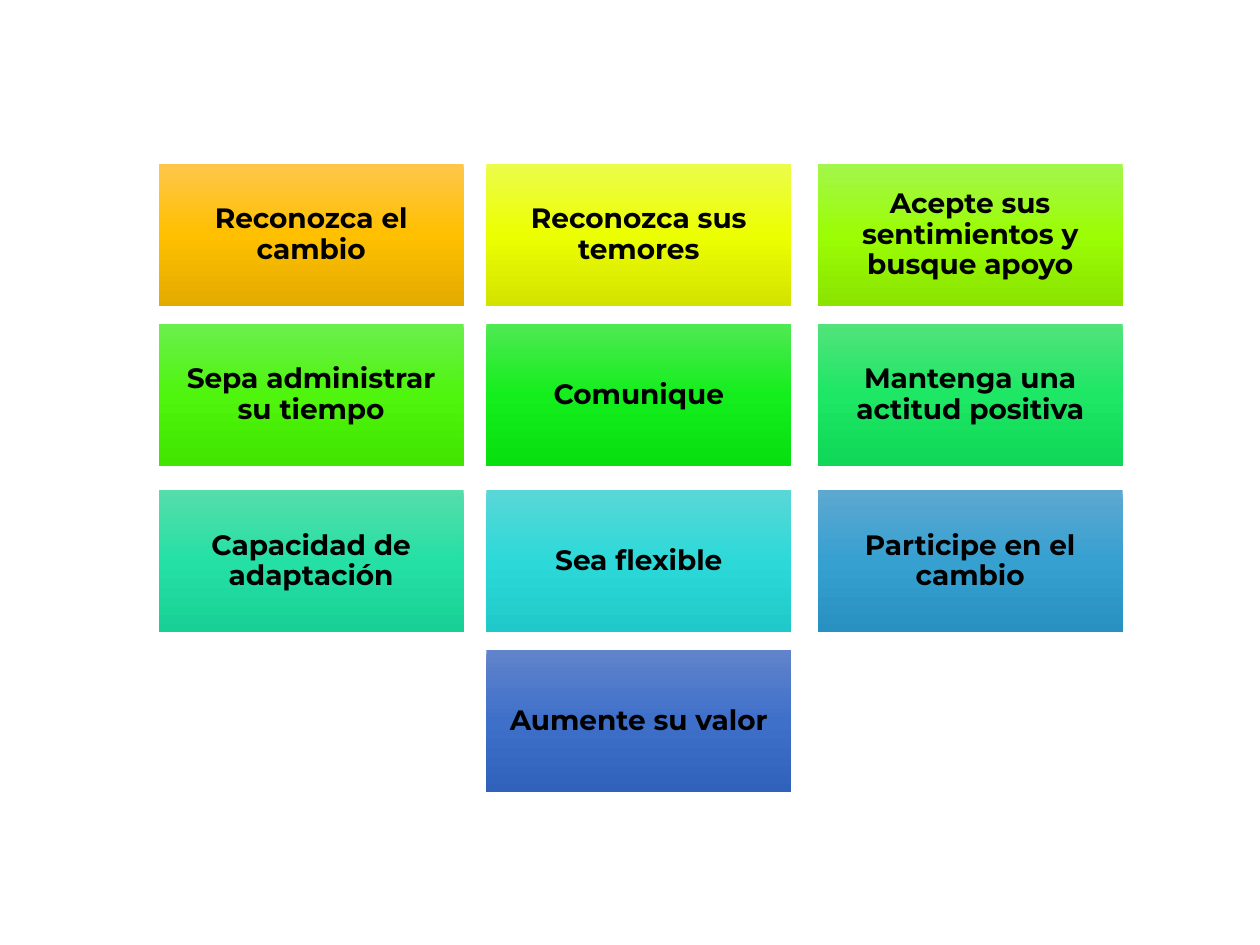
import copy
from dataclasses import dataclass

import pptx
import pptx.dml.color
import pptx.enum.shapes
import pptx.enum.text
import pptx.oxml.ns
import pptx.slide
import pptx.util

Inches = pptx.util.Inches
RGBColor = pptx.dml.color.RGBColor


@dataclass(frozen=True)
class Theme:
    font: str = "Montserrat"
    size: int = 16
    text: str = "000000"
    stops: tuple[float, ...] = (0, 0.5, 1)


@dataclass(frozen=True)
class Card:
    text: str
    column: int
    row: int
    gradient: tuple[str, str, str]


THEME = Theme()
COLUMNS = (1.26, 3.86, 6.49)
ROWS = (1.3, 2.57, 3.89, 5.16)
CARD_W, CARD_H, INSET = 2.42, 1.13, 0.07

CARDS = (
    Card("Reconozca el cambio", 0, 0, ("FFC64B", "FFC000", "E3AB00")),
    Card("Reconozca sus temores", 1, 0, ("EBFC4B", "ECFF01", "D3E300")),
    Card("Acepte sus sentimientos y busque apoyo", 2, 0, ("A3F64C", "9BFD04", "8AE400")),
    Card("Sepa administrar su tiempo", 0, 1, ("6BEF4D", "4FF50D", "41E500")),
    Card("Comunique", 1, 1, ("4FE952", "15EE1D", "08DF0F")),
    Card("Mantenga una actitud positiva", 2, 1, ("52E37B", "1DE765", "10D757")),
    Card("Capacidad de adaptación", 0, 2, ("55DDAB", "25E0A4", "18D095")),
    Card("Sea flexible", 1, 2, ("59D7D7", "2DD9D8", "20C9C9")),
    Card("Participe en el cambio", 2, 2, ("5DA8D1", "36A0D1", "2891C2")),
    Card("Aumente su valor", 1, 3, ("6183CB", "3E70CA", "3062BB")),
)


def fill_gradient(sp, colors: tuple[str, str, str]) -> None:
    """Fill from top to bottom with three colours."""
    sp.fill.gradient()
    sp.fill.gradient_angle = 270
    stop_list = sp.element.spPr.find(".//" + pptx.oxml.ns.qn("a:gsLst"))
    stop_list.append(copy.deepcopy(stop_list[0]))
    for stop, position, color in zip(sp.fill.gradient_stops, THEME.stops, colors):
        stop.position = position
        stop.color.rgb = RGBColor.from_string(color)


def add_card(s: pptx.slide.Slide, card: Card) -> None:
    sp = s.shapes.add_shape(
        pptx.enum.shapes.MSO_SHAPE.RECTANGLE,
        Inches(COLUMNS[card.column]), Inches(ROWS[card.row]),
        Inches(CARD_W), Inches(CARD_H),
    )
    sp.shadow.inherit = False
    sp.line.fill.background()
    fill_gradient(sp, card.gradient)

    tf = sp.text_frame
    tf.text = card.text
    tf.word_wrap = True
    tf.vertical_anchor = pptx.enum.text.MSO_ANCHOR.MIDDLE
    tf.margin_left = tf.margin_right = Inches(INSET)
    tf.margin_top = tf.margin_bottom = Inches(INSET)
    p = tf.paragraphs[0]
    p.alignment = pptx.enum.text.PP_ALIGN.CENTER
    p.line_spacing = 0.9
    font = p.runs[0].font
    font.name = THEME.font
    font.size = pptx.util.Pt(THEME.size)
    font.bold = True
    font.color.rgb = RGBColor.from_string(THEME.text)


def main() -> None:
    prs = pptx.Presentation()
    prs.slide_width, prs.slide_height = Inches(10), Inches(7.5)
    s = prs.slides.add_slide(prs.slide_layouts.get_by_name("Blank"))
    for card in CARDS:
        add_card(s, card)
    prs.save("out.pptx")


if __name__ == "__main__":
    main()
